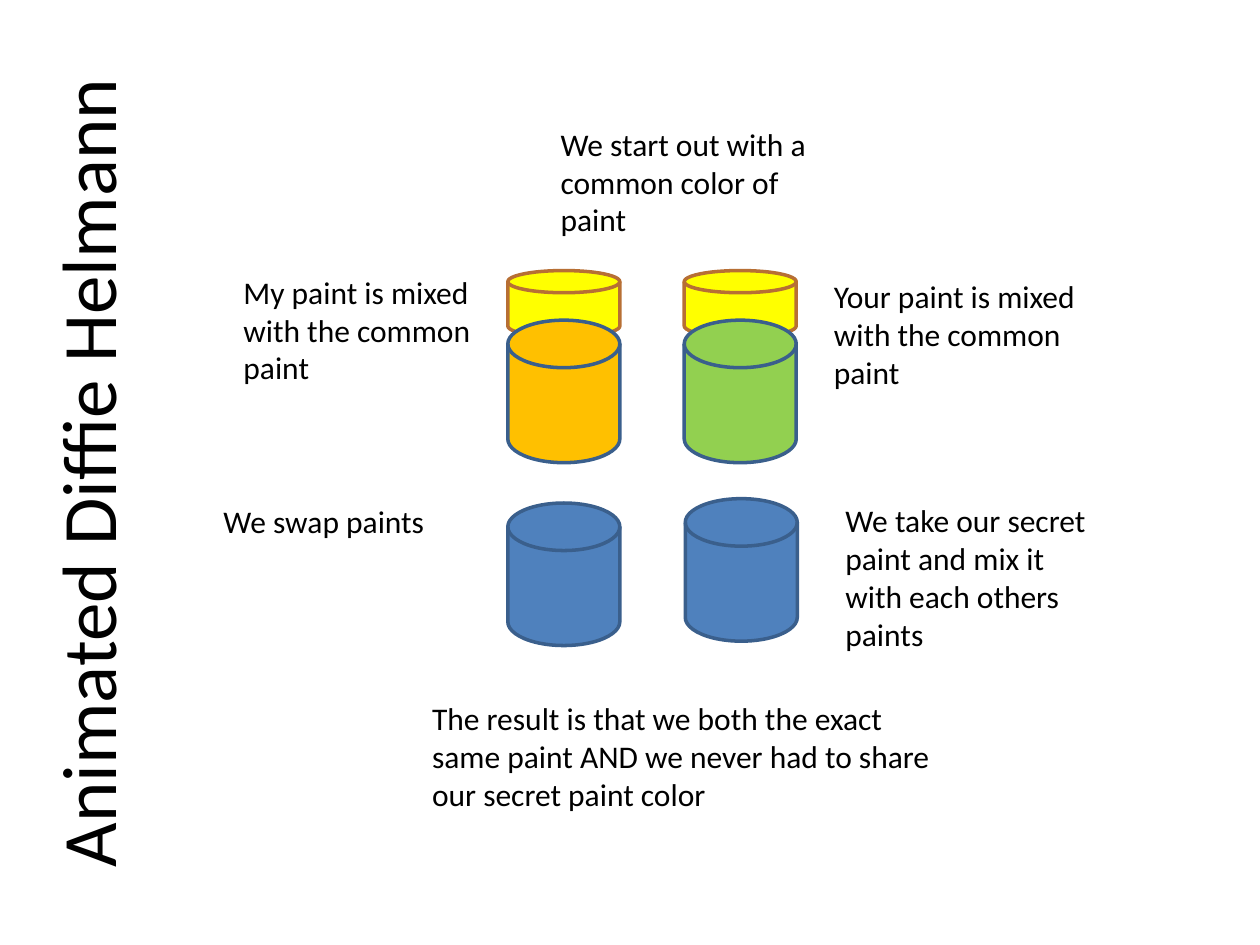
"""Build the paint-mixing slide on the Diffie Helmann key exchange."""
from pptx import Presentation
from pptx.dml.color import RGBColor
from pptx.enum.shapes import MSO_SHAPE
from pptx.enum.text import PP_ALIGN
from pptx.util import Pt

HUES = {
    "ink": "000000", "yellow": "FFFF00", "rust": "B76F34", "orange": "FFC000",
    "green": "92D050", "blue": "4F81BD", "navy": "3A5F8C",
}
MINE, YOURS = 290.2, 391


def add_text(text, left, top, width, height, size=18):
    box = slide.shapes.add_textbox(Pt(left), Pt(top), Pt(width), Pt(height))
    frame = box.text_frame
    frame.word_wrap = True
    frame.text = text
    font = frame.paragraphs[0].runs[0].font
    font.name, font.size = "Calibri", Pt(size)
    font.color.rgb = RGBColor.from_string(HUES["ink"])
    return box


def add_can(left, top, height, fill, edge):
    can = slide.shapes.add_shape(
        MSO_SHAPE.FLOWCHART_MAGNETIC_DISK, Pt(left), Pt(top), Pt(64), Pt(height))
    can.shadow.inherit = False
    can.fill.solid()
    can.fill.fore_color.rgb = RGBColor.from_string(HUES[fill])
    can.line.color.rgb = RGBColor.from_string(HUES[edge])
    can.line.width = Pt(2)


deck = Presentation()
deck.slide_width, deck.slide_height = Pt(720), Pt(540)
slide = deck.slides.add_slide(deck.slide_layouts[6])

for left, mix, low in ((MINE, "orange", 287.5), (YOURS + 0.6, "green", 285)):
    side = min(left, YOURS)
    add_can(side, 154.6, 38, "yellow", "rust")
    add_can(side, 183, 81.4, mix, "navy")
    add_can(left, low, 81.4, "blue", "navy")

notes = [
    ("We start out with a common color of paint", 313.2, 67.8, 156, 72.7),
    ("My paint is mixed with the common paint", 132, 152.4, 156, 72.7),
    ("Your paint is mixed with the common paint", 469.4, 154.8, 156, 72.7),
    ("We swap paints", 120.6, 283.2, 156, 29),
    ("We take our secret paint and mix it with each others paints", 476, 283, 156, 94.5),
    ("The result is that we both the exact same paint AND we never had to share "
     "our secret paint color", 239.8, 396, 301, 72.7),
]
for note in notes:
    add_text(*note)

title = add_text("Animated Diffie Helmann", -189.4, 231.1, 507.6, 78.5, 44)
title.rotation = 270
head = title.text_frame.paragraphs[0]
head.alignment = PP_ALIGN.CENTER
head.line_spacing = 0.9

deck.save("out.pptx")
